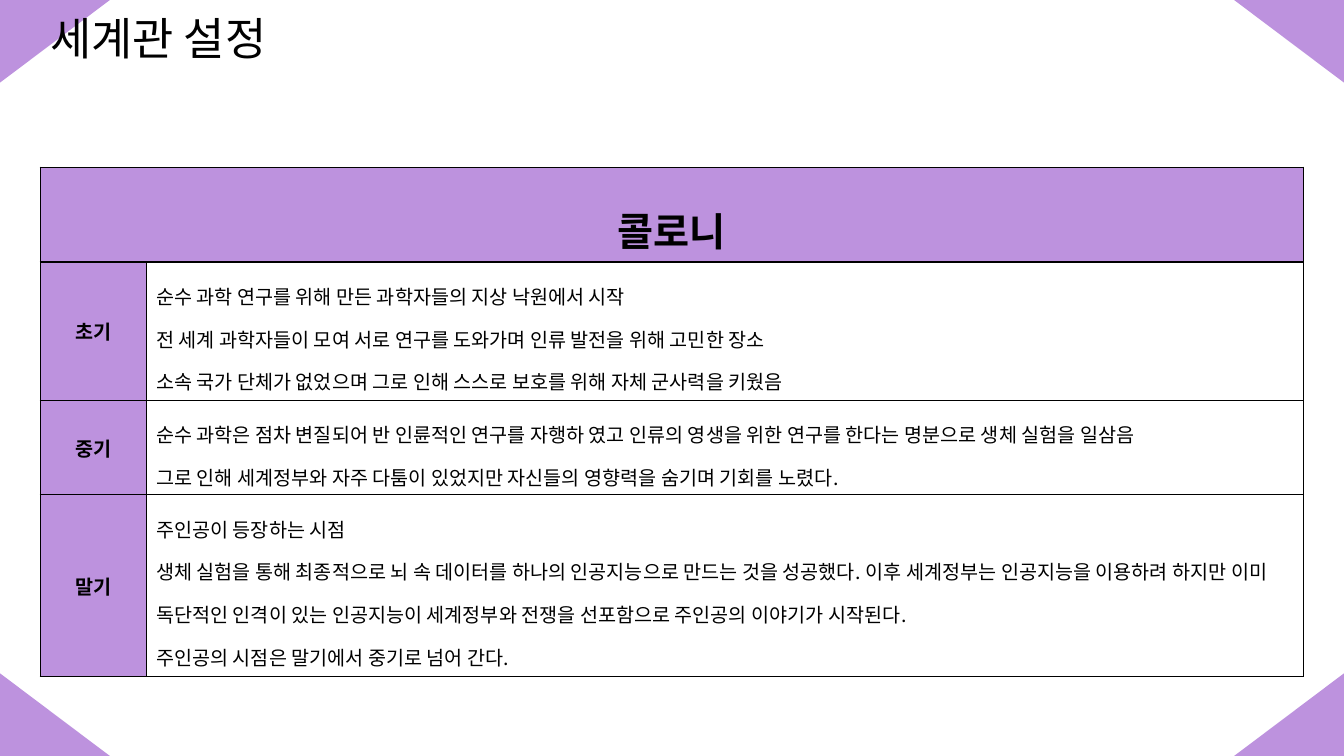
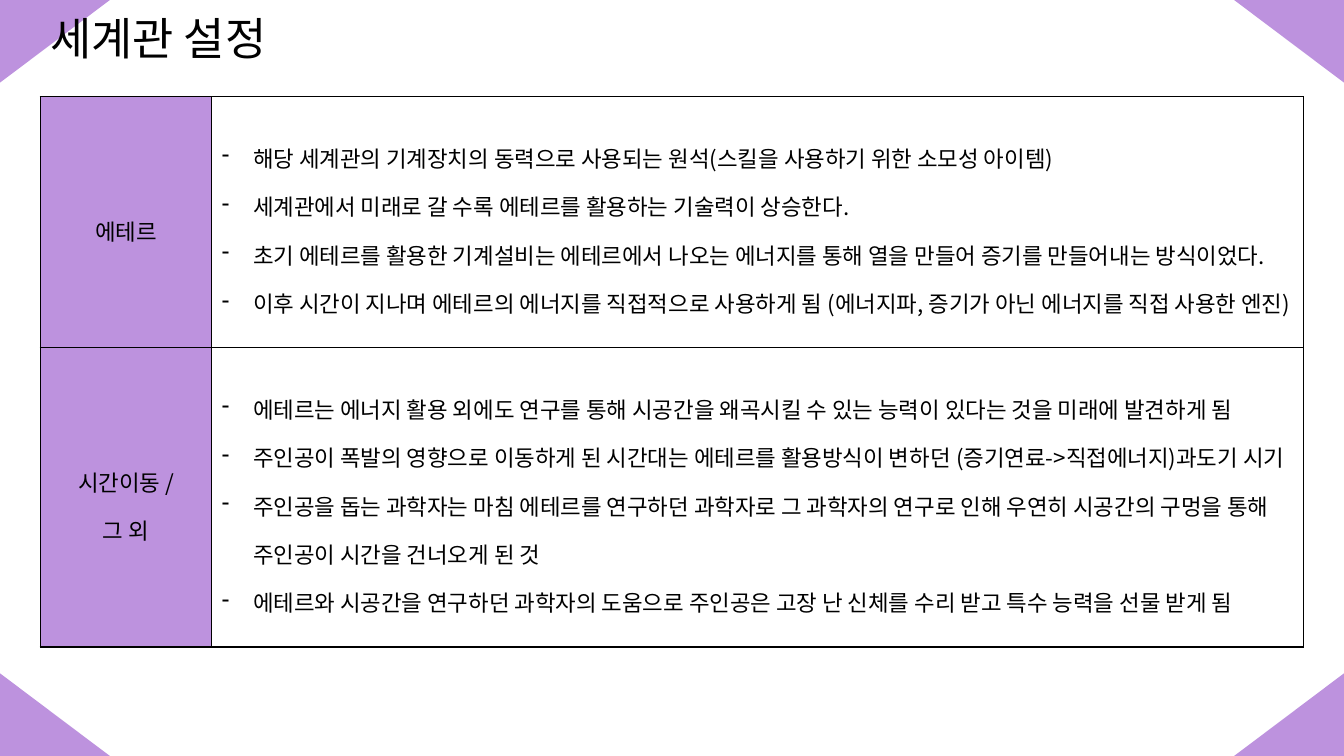
from itertools import product

from lxml import etree
from pptx import Presentation
from pptx.dml.color import RGBColor
from pptx.enum.shapes import MSO_SHAPE
from pptx.enum.text import MSO_ANCHOR, PP_ALIGN
from pptx.oxml.ns import qn
from pptx.util import Inches, Pt

TRIANGLE = MSO_SHAPE.RIGHT_TRIANGLE
TOP, MIDDLE = MSO_ANCHOR.TOP, MSO_ANCHOR.MIDDLE
LEFT, CENTER = PP_ALIGN.LEFT, PP_ALIGN.CENTER

SLIDE_W, SLIDE_H = 13.33, 7.5
CORNER_W, CORNER_H = 1.09, 0.82
MARGIN = 0.4
FONT = "Noto Sans CJK KR"
PURPLE, WHITE, BLACK = "BD92DE", "FFFFFF", "000000"
BULLET_INDENT = 0.31

COLONY = "콜로니"
COLONY_ERAS = [
    ("초기", [
        "순수 과학 연구를 위해 만든 과학자들의 지상 낙원에서 시작",
        "전 세계 과학자들이 모여 서로 연구를 도와가며 인류 발전을 위해 고민한 장소",
        "소속 국가 단체가 없었으며 그로 인해 스스로 보호를 위해 자체 군사력을 키웠음",
    ]),
    ("중기", [
        "순수 과학은 점차 변질되어 반 인륜적인 연구를 자행하 였고 인류의 영생을 위한 연구를 한다는 명분으로 생체 실험을 일삼음",
        "그로 인해 세계정부와 자주 다툼이 있었지만 자신들의 영향력을 숨기며 기회를 노렸다.",
    ]),
    ("말기", [
        "주인공이 등장하는 시점",
        "생체 실험을 통해 최종적으로 뇌 속 데이터를 하나의 인공지능으로 만드는 것을 성공했다. 이후 세계정부는 인공지능을 "
        "이용하려 하지만 이미 독단적인 인격이 있는 인공지능이 세계정부와 전쟁을 선포함으로 주인공의 이야기가 시작된다.",
        "주인공의 시점은 말기에서 중기로 넘어 간다.",
    ]),
]
AETHER_TOPICS = [
    ("에테르", [
        "해당 세계관의 기계장치의 동력으로 사용되는 원석(스킬을 사용하기 위한 소모성 아이템)",
        "세계관에서 미래로 갈 수록 에테르를 활용하는 기술력이 상승한다.",
        "초기 에테르를 활용한 기계설비는 에테르에서 나오는 에너지를 통해 열을 만들어 증기를 만들어내는 방식이었다.",
        "이후 시간이 지나며 에테르의 에너지를 직접적으로 사용하게 됨 (에너지파, 증기가 아닌 에너지를 직접 사용한 엔진)",
    ]),
    ("시간이동 /\n그 외", [
        "에테르는 에너지 활용 외에도 연구를 통해 시공간을 왜곡시킬 수 있는 능력이 있다는 것을 미래에 발견하게 됨",
        "주인공이 폭발의 영향으로 이동하게 된 시간대는 에테르를 활용방식이 변하던 (증기연료->직접에너지)과도기 시기",
        "주인공을 돕는 과학자는 마침 에테르를 연구하던 과학자로 그 과학자의 연구로 인해 우연히 시공간의 구멍을 통해 "
        "주인공이 시간을 건너오게 된 것",
        "에테르와 시공간을 연구하던 과학자의 도움으로 주인공은 고장 난 신체를 수리 받고 특수 능력을 선물 받게 됨",
    ]),
]


def color(hex_value):
    return RGBColor.from_string(hex_value)


def add_dash_bullet(paragraph):
    props = paragraph._p.get_or_add_pPr()
    indent = Inches(BULLET_INDENT)
    props.set("marL", str(indent))
    props.set("indent", str(-indent))
    etree.SubElement(props, qn("a:buFontTx"))
    etree.SubElement(props, qn("a:buChar"), char="-")


def write(frame, text, size, bold=False, align=LEFT, spacing=1.5, bulleted=False):
    frame.text = text
    for paragraph in frame.paragraphs:
        if bulleted:
            add_dash_bullet(paragraph)
        paragraph.alignment = align
        paragraph.line_spacing = spacing
        for run in paragraph.runs:
            run.font.size = Pt(size)
            run.font.bold = bold
            run.font.name = FONT
            run.font.color.rgb = color(BLACK)
            etree.SubElement(run._r.get_or_add_rPr(), qn("a:ea"), typeface=FONT)


def add_corners(slide):
    for at_right, at_bottom in product((False, True), repeat=2):
        corner = slide.shapes.add_shape(
            TRIANGLE,
            Inches(at_right * (SLIDE_W - CORNER_W)),
            Inches(at_bottom * (SLIDE_H - CORNER_H)),
            Inches(CORNER_W), Inches(CORNER_H))
        frame = corner._element.spPr.find(qn("a:xfrm"))
        frame.set("flipH", str(int(at_right)))
        frame.set("flipV", str(int(not at_bottom)))
        corner.shadow.inherit = False
        corner.fill.solid()
        corner.fill.fore_color.rgb = color(PURPLE)
        corner.line.fill.background()


def add_title(slide, text):
    title = slide.shapes.add_textbox(
        Inches(MARGIN), Inches(0.17), Inches(11.5), Inches(0.79))
    frame = title.text_frame
    frame.word_wrap = True
    frame.vertical_anchor = TOP
    frame.margin_top = 0
    write(frame, text, 32, spacing=0.9)


def style_cell(cell, fill):
    props = cell._tc.get_or_add_tcPr()
    for side in ("lnL", "lnR", "lnT", "lnB"):
        border = etree.SubElement(props, qn("a:" + side), w=str(Pt(1)))
        border_fill = etree.SubElement(border, qn("a:solidFill"))
        etree.SubElement(border_fill, qn("a:srgbClr"), val=BLACK)
    cell.fill.solid()
    cell.fill.fore_color.rgb = color(fill)
    cell.vertical_anchor = MIDDLE


def add_topic_table(slide, top, label_width, heights, topics, size,
                    heading=None, bold_labels=False, label_spacing=1.5,
                    bulleted=False):
    """Table of purple labels with text beside them, under an optional heading."""
    width = SLIDE_W - 2 * MARGIN
    table = slide.shapes.add_table(
        len(heights), 2, Inches(MARGIN), Inches(top),
        Inches(width), Inches(sum(heights))).table
    table.first_row = table.horz_banding = False
    for column, column_width in zip(table.columns, (label_width, width - label_width)):
        column.width = Inches(column_width)
    for row, height in zip(table.rows, heights):
        row.height = Inches(height)
        for cell, fill in zip(row.cells, (PURPLE, WHITE)):
            style_cell(cell, fill)
    first = 0
    if heading:
        first = 1
        table.cell(0, 0).merge(table.cell(0, 1))
        write(table.cell(0, 0).text_frame, heading, 28, bold=True, align=CENTER)
    for row, (label, lines) in enumerate(topics, first):
        write(table.cell(row, 0).text_frame, label, size, bold=bold_labels,
              align=CENTER, spacing=label_spacing)
        write(table.cell(row, 1).text_frame, "\n".join(lines), size,
              bulleted=bulleted)


def add_world_slide(deck):
    slide = deck.slides.add_slide(deck.slide_layouts[6])
    add_corners(slide)
    add_title(slide, "세계관 설정")
    return slide


def main():
    deck = Presentation()
    deck.slide_width, deck.slide_height = Inches(SLIDE_W), Inches(SLIDE_H)
    add_topic_table(add_world_slide(deck), 1.66, 1.05, (0.94, 1.37, 0.94, 1.8),
                    COLONY_ERAS, 14, heading=COLONY, bold_labels=True,
                    label_spacing=1.0)
    add_topic_table(add_world_slide(deck), 0.96, 1.7, (2.49, 2.97),
                    AETHER_TOPICS, 16, bulleted=True)
    deck.save("out.pptx")


if __name__ == "__main__":
    main()
